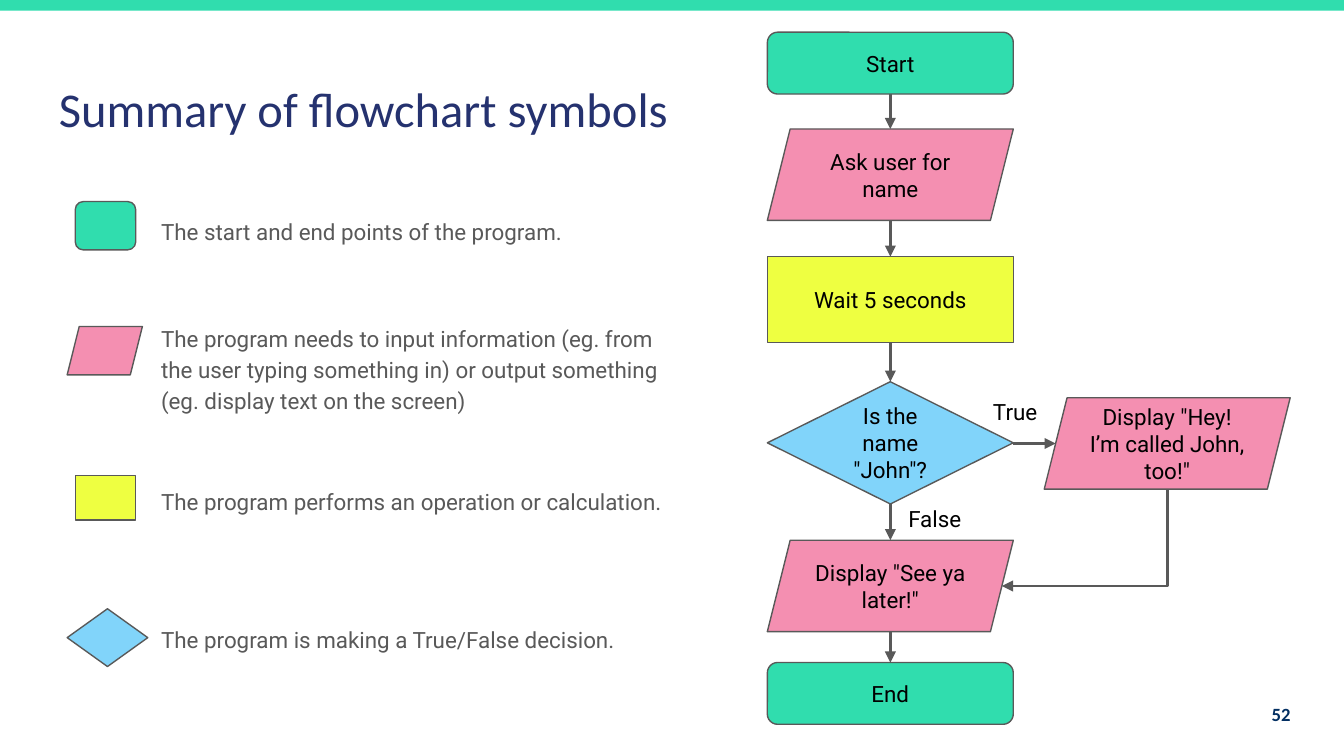
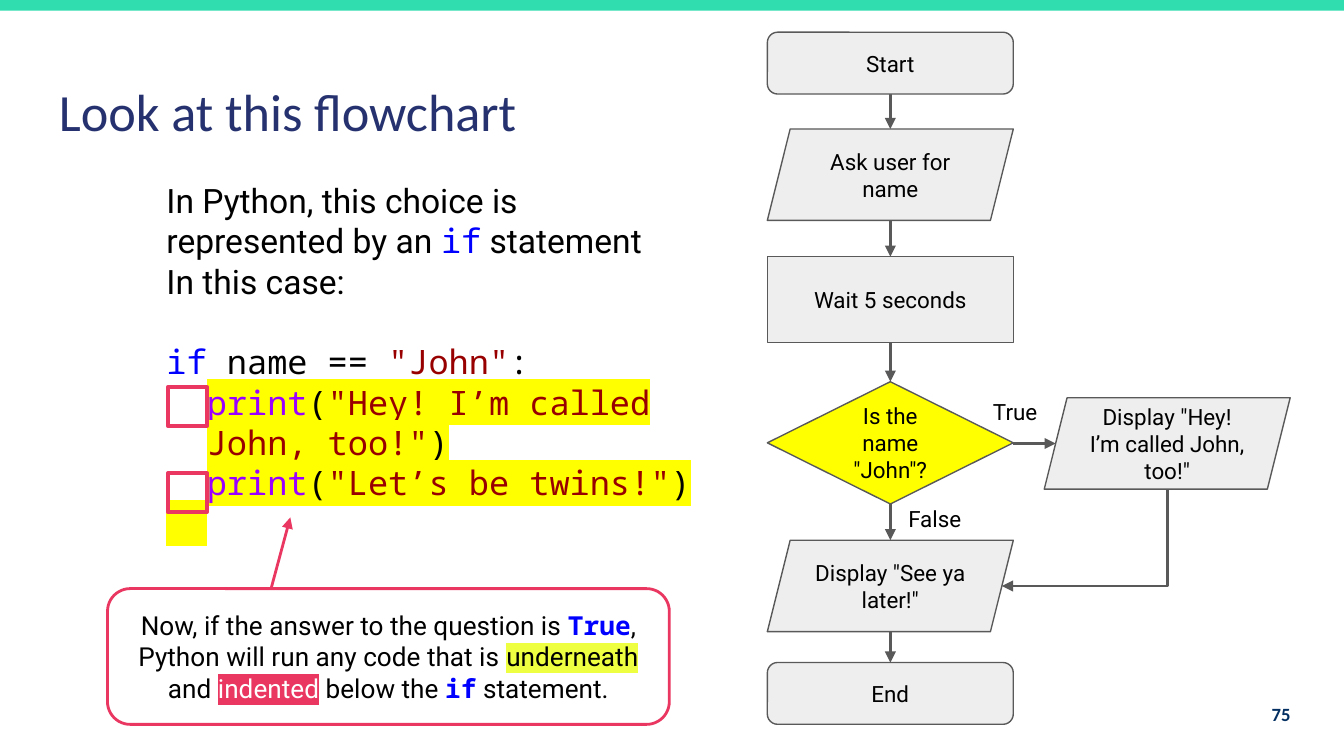
from itertools import pairwise

from lxml import etree
from pptx import Presentation
from pptx.dml.color import RGBColor
from pptx.enum.shapes import MSO_CONNECTOR as Line, MSO_SHAPE as Preset
from pptx.enum.text import MSO_ANCHOR as Anchor, PP_ALIGN as Align
from pptx.oxml.ns import qn
from pptx.util import Inches, Pt

COLOURS = {
    "mint": "30DDAE", "pink": "F48FB1", "lime": "EEFF41", "sky": "81D4FA",
    "pale": "EEEEEE", "yellow": "FFFF00", "white": "FFFFFF", "black": "000000",
    "grey": "595959", "title": "25326F", "number": "032F62", "accent": "E93761",
    "blue": "0000FF", "red": "980000", "purple": "9900FF",
}
HEADING, BODY, CODE = "Calibri", "Roboto", "Noto Sans Mono"

PRESETS = {
    "terminal": Preset.ROUNDED_RECTANGLE, "data": Preset.PARALLELOGRAM,
    "process": Preset.RECTANGLE, "decision": Preset.DIAMOND,
}
SYMBOL_FILLS = {"terminal": "mint", "data": "pink", "process": "lime", "decision": "sky"}
QUESTION_FILLS = dict.fromkeys(PRESETS, "pale") | {"decision": "yellow"}

# kind, text, top, height
FLOW = [
    ("terminal", "Start", 0.24, 0.46),
    ("data", "Ask user for name", 0.96, 0.68),
    ("process", "Wait 5 seconds", 1.91, 0.64),
    ("decision", 'Is the name "John"?', 2.84, 0.91),
    ("data", 'Display "See ya later!"', 4.02, 0.68),
    ("terminal", "End", 4.93, 0.46),
]
BRANCH = ("data", 'Display "Hey! I’m called John, too!"', 2.96, 0.68)
FLOW_LEFT, BRANCH_LEFT, NODE_WIDTH = 5.71, 7.77, 1.83
LABELS = [("True", (7.29, 2.86, 0.56, 0.36)), ("False", (6.66, 3.66, 0.73, 0.36))]

# kind, symbol place, text top, text width, meaning
LEGEND = [
    ("terminal", (0.56, 1.5, 0.45, 0.36), 1.49, 3.45,
     "The start and end points of the program."),
    ("data", (0.5, 2.43, 0.56, 0.36), 2.29, 4.06,
     "The program needs to input information (eg. from the user typing something in) "
     "or output something (eg. display text on the screen)"),
    ("process", (0.56, 3.54, 0.45, 0.33), 3.5, 4.06,
     "The program performs an operation or calculation."),
    ("decision", (0.5, 4.53, 0.6, 0.43), 4.53, 3.63,
     "The program is making a True/False decision."),
]

# font, colour, bold, highlight
STYLES = {
    "plain": (BODY, "black", False, None),
    "code": (CODE, "black", False, None),
    "keyword": (CODE, "blue", False, None),
    "bold keyword": (CODE, "blue", True, None),
    "string": (CODE, "red", False, None),
    "marked code": (CODE, "black", False, "yellow"),
    "marked call": (CODE, "purple", False, "yellow"),
    "marked string": (CODE, "red", False, "yellow"),
    "lime mark": (BODY, "black", False, "lime"),
    "accent mark": (BODY, "white", False, "accent"),
}
INTRO = [
    [("In Python, this choice is represented by an ", "plain"), ("if", "keyword"),
     (" statement", "plain")],
    [("In this case:", "plain")],
]
CONDITION = [("if", "keyword"), (" name == ", "code"), ('"John"', "string"), (":", "code")]
INDENTED_CODE = [
    ("print", "marked call"), ("(", "marked code"),
    ('"Hey! I’m called\nJohn, too!"', "marked string"), (")\n", "marked code"),
    ("print", "marked call"), ("(", "marked code"),
    ('"Let’s be twins!"', "marked string"), (")", "marked code"),
]
MARKED_INDENT = [("  ", "marked code")]
CALLOUT = [
    ("Now, if the answer to the question is ", "plain"), ("True", "bold keyword"),
    (", Python will run any code that is ", "plain"), ("underneath", "lime mark"),
    (" and ", "plain"), ("indented", "accent mark"), (" below the ", "plain"),
    ("if", "bold keyword"), (" statement.", "plain"),
]
CODE_INDENT, LINE_PITCH = 0.3, Pt(21.6)
INDENT_TOPS = (2.88, 3.52)


def colour(name):
    return RGBColor.from_string(COLOURS[name])


def set_font(font, name, size, tint, bold=False):
    font.name, font.size, font.bold = name, Pt(size), bold
    font.color.rgb = colour(tint)


def prepare_frame(frame, anchor=Anchor.TOP):
    frame.word_wrap = True
    frame.vertical_anchor = anchor
    frame.margin_left = frame.margin_right = Inches(0.1)
    frame.margin_top = frame.margin_bottom = Inches(0.1)
    return frame


def add_box(page, place, anchor=Anchor.TOP):
    box = page.shapes.add_textbox(*map(Inches, place))
    return prepare_frame(box.text_frame, anchor)


def add_text(page, place, text, font, size, tint, bold=False, anchor=Anchor.TOP):
    para = add_box(page, place, anchor).paragraphs[0]
    para.text = text
    set_font(para.font, font, size, tint, bold)
    return para


def add_spans(para, spans, size):
    """Fill a paragraph with styled runs; a newline becomes a line break."""
    for text, style in spans:
        font, tint, bold, mark = STYLES[style]
        for index, piece in enumerate(text.split("\n")):
            if index:
                para.add_line_break()
            if not piece:
                continue
            span = para.add_run()
            span.text = piece
            set_font(span.font, font, size, tint, bold)
            if mark:
                highlight = etree.Element(qn("a:highlight"))
                etree.SubElement(highlight, qn("a:srgbClr"), val=COLOURS[mark])
                span.font._element.find(qn("a:solidFill")).addnext(highlight)


def add_preset(page, preset, place, fill=None, line=None, width=0.75):
    shape = page.shapes.add_shape(preset, *map(Inches, place))
    shape.shadow.inherit = False
    if fill:
        shape.fill.solid()
        shape.fill.fore_color.rgb = colour(fill)
    else:
        shape.fill.background()
    if line:
        shape.line.color.rgb = colour(line)
        shape.line.width = Pt(width)
    else:
        shape.line.fill.background()
    return shape


def add_arrow(page, start, end, tint="grey", kind=Line.STRAIGHT):
    arrow = page.shapes.add_connector(kind, *map(Inches, (*start, *end)))
    arrow.line.color.rgb = colour(tint)
    arrow.line.width = Pt(1.5)
    etree.SubElement(arrow.line._get_or_add_ln(), qn("a:tailEnd"), type="triangle")
    etree.SubElement(arrow._element.spPr, qn("a:effectLst"))
    return arrow


def add_down_left_arrow(page, start, end):
    """One-bend arrow: a quarter-turned elbow that runs down, then left."""
    drop, run = end[1] - start[1], start[0] - end[0]
    middle_x, middle_y = (start[0] + end[0]) / 2, (start[1] + end[1]) / 2
    arrow = add_arrow(page, (middle_x - drop / 2, middle_y - run / 2),
                      (middle_x + drop / 2, middle_y + run / 2), kind=Line.ELBOW)
    properties = arrow._element.spPr
    properties.find(qn("a:xfrm")).set("rot", "5400000")
    properties.find(qn("a:prstGeom")).set("prst", "bentConnector2")


def add_node(page, node, left, fills):
    kind, text, top, height = node
    shape = add_preset(page, PRESETS[kind], (left, top, NODE_WIDTH, height),
                       fills[kind], "grey")
    para = prepare_frame(shape.text_frame, Anchor.MIDDLE).paragraphs[0]
    para.text, para.alignment = text, Align.CENTER
    set_font(para.font, BODY, 12, "black")


def add_flowchart(page, fills):
    centre = FLOW_LEFT + NODE_WIDTH / 2
    for (_, _, top, height), (_, _, next_top, _) in pairwise(FLOW):
        add_arrow(page, (centre, top + height), (centre, next_top))
    for text, place in LABELS:
        add_text(page, place, text, BODY, 12, "black")
    for node in FLOW:
        add_node(page, node, FLOW_LEFT, fills)

    _, _, branch_top, height = BRANCH
    slant = height * 0.25 / 2
    branch_middle = branch_top + height / 2
    right = FLOW_LEFT + NODE_WIDTH
    rejoin_top, rejoin_height = FLOW[4][2:]
    add_arrow(page, (right, branch_middle), (BRANCH_LEFT + slant, branch_middle))
    add_down_left_arrow(page, (BRANCH_LEFT + NODE_WIDTH / 2, branch_top + height),
                        (right - slant, rejoin_top + rejoin_height / 2))
    add_node(page, BRANCH, BRANCH_LEFT, fills)


def add_page(deck, title, title_size, number, fills):
    page = deck.slides.add_slide(deck.slide_layouts[6])
    add_preset(page, Preset.RECTANGLE, (-0.01, 0, 10.02, 0.08), "mint")
    add_text(page, (0.34, 0.49, 4.95, 0.63), title, HEADING, title_size, "title")
    add_flowchart(page, fills)
    para = add_text(page, (9.1, 5.1, 0.6, 0.43), number, HEADING, 10, "number",
                    bold=True, anchor=Anchor.MIDDLE)
    para.alignment = Align.RIGHT
    return page


def add_legend(page):
    for kind, place, top, width, meaning in LEGEND:
        add_preset(page, PRESETS[kind], place, SYMBOL_FILLS[kind], "grey")
        para = add_text(page, (1.1, top, width, 0.63), meaning, BODY, 12, "grey")
        para.line_spacing, para.space_after = 1.15, Pt(16)


def add_code(page):
    frame = add_box(page, (1.14, 1.24, 4.18, 2.27))
    for index, spans in enumerate([*INTRO, CONDITION, INDENTED_CODE, MARKED_INDENT]):
        para = frame.add_paragraph() if index else frame.paragraphs[0]
        para.line_spacing = LINE_PITCH
        add_spans(para, spans, 18)
        if spans is CONDITION:
            para.space_before = LINE_PITCH
        if spans is INDENTED_CODE:
            para._p.get_or_add_pPr().set("marL", str(Inches(CODE_INDENT)))
    for top in INDENT_TOPS:
        add_preset(page, Preset.RECTANGLE, (1.25, top, 0.29, 0.29),
                   line="accent", width=2.25)


def add_callout(page):
    add_arrow(page, (2.02, 4.37), (2.16, 3.85), "accent")
    callout = add_preset(page, Preset.ROUNDED_RECTANGLE, (0.8, 4.38, 4.18, 1.01),
                         "white", "accent", 1.5)
    para = prepare_frame(callout.text_frame, Anchor.MIDDLE).paragraphs[0]
    para.alignment = Align.CENTER
    add_spans(para, CALLOUT, 14)


def main():
    deck = Presentation()
    deck.slide_width = Inches(10)
    deck.slide_height = deck.slide_width * 9 // 16
    add_legend(add_page(deck, "Summary of flowchart symbols", 26, "52", SYMBOL_FILLS))
    page = add_page(deck, "Look at this flowchart", 28, "75", QUESTION_FILLS)
    add_code(page)
    add_callout(page)
    deck.save("out.pptx")


if __name__ == "__main__":
    main()
